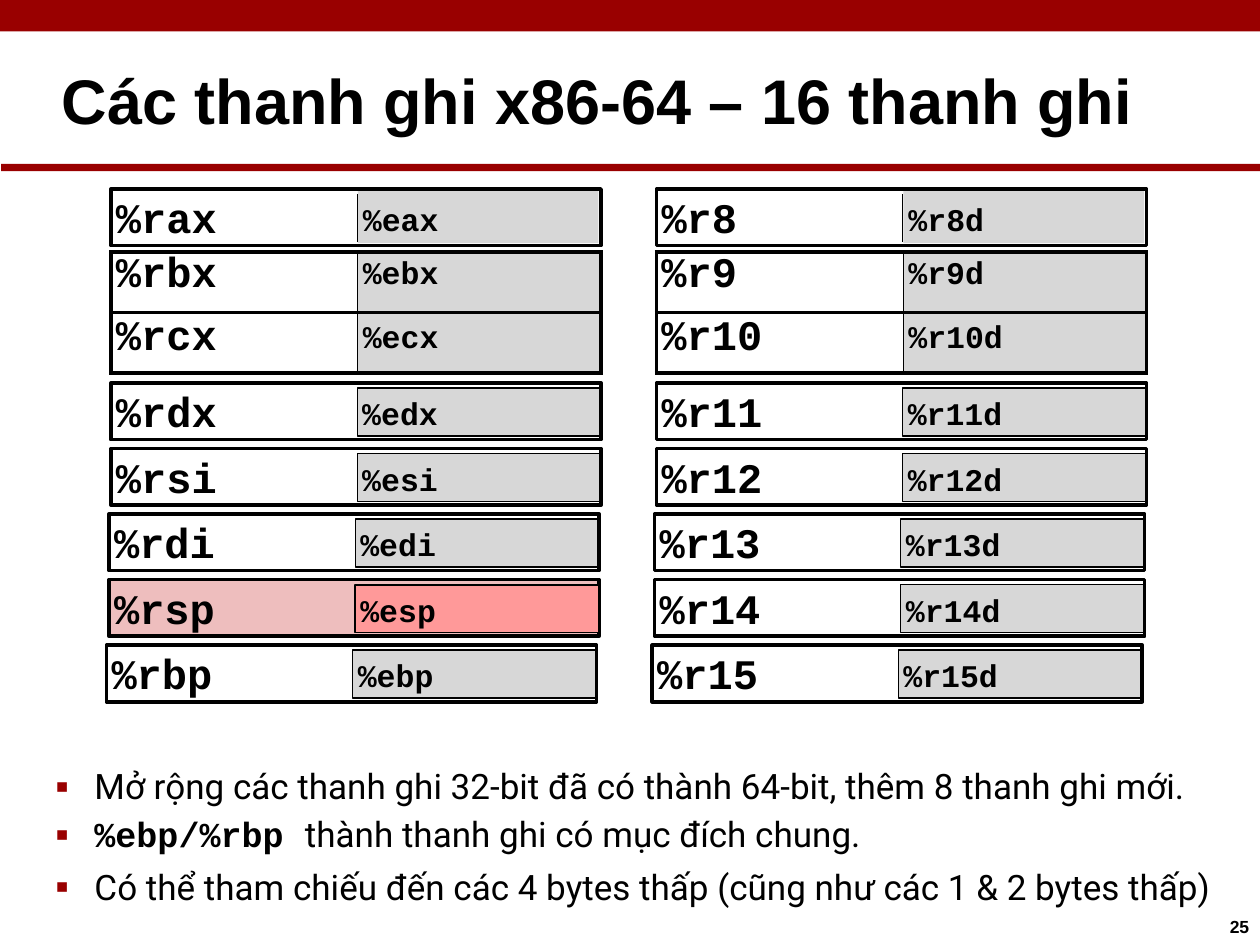
from lxml import etree
from pptx import Presentation
from pptx import util as u
from pptx.dml.color import RGBColor
from pptx.enum import shapes, text
from pptx.oxml import ns

COLS, ROWS = 100, 75          # grid of the 10 x 7.5 inch slide
CELL = u.Inches(0.1)
BLACK, RED, GREY = "000000", "990000", "D7D7D7"
PINK, ROSE = "EEBEBE", "FF9999"
SANS, MONO, BODY = "Arial", "Courier New", "Roboto"


def grid(n):
    """Length of n grid columns or rows."""
    return u.Emu(round(n * CELL))


def color(value):
    return RGBColor.from_string(value)


def add_xml(parent, tag, **attrs):
    return etree.SubElement(parent, ns.qn(tag), attrs)


class Deck:
    def __init__(self):
        self.prs = Presentation()
        self.prs.slide_width, self.prs.slide_height = grid(COLS), grid(ROWS)
        self.slide = self.prs.slides.add_slide(self.prs.slide_layouts[5])

    def frame(self, tf, left=0, top=0):
        """Set top-left text with the given insets."""
        tf.margin_left, tf.margin_top = grid(left), grid(top)
        tf.margin_right = tf.margin_bottom = 0
        tf.vertical_anchor = text.MSO_ANCHOR.TOP
        tf.word_wrap = True

    def font(self, target, name, size, bold=True):
        f = target.font
        f.name, f.size, f.bold = name, u.Pt(size), bold
        f.color.rgb = color(BLACK)

    def set_text(self, tf, words, name, size):
        p = tf.paragraphs[0]
        p.text = words
        p.alignment = text.PP_ALIGN.LEFT
        self.font(p, name, size)

    def title(self, words, x, y, w, h):
        sp = self.slide.shapes.title
        sp.left, sp.top, sp.width, sp.height = map(grid, (x, y, w, h))
        self.frame(sp.text_frame, 5, 2.5)
        sp.text_frame.auto_size = text.MSO_AUTO_SIZE.NONE
        self.set_text(sp.text_frame, words, SANS, 36)

    def box(self, x, y, w, h, fill=None, line=None, words="", size=18, top=0):
        sp = self.slide.shapes.add_shape(shapes.MSO_SHAPE.RECTANGLE, *map(grid, (x, y, w, h)))
        sp.shadow.inherit = False
        if fill:
            sp.fill.solid()
            sp.fill.fore_color.rgb = color(fill)
        else:
            sp.fill.background()
        if line:
            sp.line.color.rgb = color(BLACK)
            sp.line.width = u.Pt(line)
        else:
            sp.line.fill.background()
        if words:
            self.frame(sp.text_frame, 0.4, top)
            self.set_text(sp.text_frame, words, MONO, size)

    def divider(self, x, y, h):
        line = self.slide.shapes.add_connector(
            shapes.MSO_CONNECTOR.STRAIGHT, *map(grid, (x, y, x, y + h)))
        line.line.color.rgb = color(BLACK)
        line.line.width = u.Pt(0.75)
        add_xml(line._element.spPr, "a:effectLst")

    def label(self, words, x, y, w, h, size):
        tf = self.slide.shapes.add_textbox(*map(grid, (x, y, w, h))).text_frame
        self.frame(tf, 0.4)
        self.set_text(tf, words, SANS, size)

    def borders(self, cell, **widths):
        tc_pr = cell._tc.get_or_add_tcPr()
        for i, side in enumerate("LRTB"):
            ln = etree.Element(ns.qn(f"a:ln{side}"), w=str(u.Pt(widths.get(side, 2.25))))
            add_xml(add_xml(ln, "a:solidFill"), "a:srgbClr", val=BLACK)
            tc_pr.insert(i, ln)

    def table(self, x, y, widths, row_height, rows, tops):
        table = self.slide.shapes.add_table(
            len(rows), len(widths),
            *map(grid, (x, y, sum(widths), row_height * len(rows)))).table
        table.first_row = table.horz_banding = False
        for col, width in zip(table.columns, widths):
            col.width = grid(width)
        for r, names in enumerate(rows):
            table.rows[r].height = grid(row_height)
            for c, name in enumerate(names):
                cell = table.cell(r, c)
                cell.margin_left, cell.margin_top = grid(0.4), grid(tops[r][c])
                cell.margin_right = cell.margin_bottom = 0
                if c:
                    cell.fill.solid()
                    cell.fill.fore_color.rgb = color(GREY)
                else:
                    cell.fill.background()
                self.borders(cell, **({"L": 0.75} if c else {"R": 0.75}))
                self.set_text(cell.text_frame, name, MONO, 18 if c else 24)

    def bullets(self, items, x, y, w, h):
        """Add paragraphs given as (space before, [(words, is code)])."""
        tf = self.slide.shapes.add_textbox(*map(grid, (x, y, w, h))).text_frame
        self.frame(tf, 0, 0.6)
        for i, (space, runs) in enumerate(items):
            p = tf.paragraphs[0] if i == 0 else tf.add_paragraph()
            p_pr = p._p.get_or_add_pPr()
            p_pr.set("marL", str(grid(3.3)))
            p_pr.set("indent", str(-grid(3.1)))
            add_xml(add_xml(p_pr, "a:buClr"), "a:srgbClr", val=RED)
            add_xml(p_pr, "a:buSzPct", val="110000")
            add_xml(p_pr, "a:buFont", typeface=SANS)
            add_xml(p_pr, "a:buChar", char="▪")
            p.space_before = u.Pt(space)
            self.font(p, BODY, 20, False)
            for words, is_code in runs:
                r = p.add_run()
                r.text = words
                if is_code:
                    self.font(r, MONO, 20)

    def register(self, x, y, name, low, highlight=False):
        """Draw a 64-bit register with its low 32 bits inside."""
        outer = dict(x=x, y=y, w=38.9, h=4.5, line=2, words=name, size=24, top=0.2)
        if highlight:
            self.box(fill=PINK, **outer)
        self.box(x + 19.55, y + 0.4, 19.3, 3.8, ROSE if highlight else GREY,
                 1 if highlight else 0.75, low, top=0.5)
        if not highlight:
            self.box(**outer)

    def first_register(self, x, y, name, low):
        self.box(x + 19.6, y + 0.1, 19.1, 4.2, GREY, words=low, top=0.8)
        self.divider(x + 19.55, y + 0.4, 3.8)
        self.box(x, y, 38.9, 4.5, line=2, words=name, size=24, top=0.2)


def main():
    deck = Deck()
    deck.box(0, 0, COLS, 2.5, RED)
    deck.title("Các thanh ghi x86-64 – 16 thanh ghi", -0.1, 2.4, 100.3, 11)
    deck.box(0.1, 13, 99.9, 0.6, RED)

    old = [(f"%r{n}", f"%e{n}") for n in "ax bx cx dx si di sp bp".split()]
    new = [(f"%r{n}", f"%r{n}d") for n in range(8, 16)]
    shifts = (0, 0, -0.15, -0.15, -0.35)
    for x, names in ((8.8, old), (52.1, new)):
        deck.first_register(x, 15, *names[0])
        deck.table(x, 20, (19.6, 19.3), 4.8, names[1:3], ((0, 0.5), (0.2, 0.8)))
        for i, (pair, shift) in enumerate(zip(names[3:], shifts)):
            deck.register(x + shift, 30.4 + 5.2 * i, *pair, highlight=pair[0] == "%rsp")

    deck.bullets([
        (0, [("Mở rộng các thanh ghi 32-bit đã có thành 64-bit, thêm 8 thanh ghi mới.", False)]),
        (3.5, [("%ebp/%rbp ", True), ("thành thanh ghi có mục đích chung.", False)]),
        (6.1, [("Có thể tham chiếu đến các 4 bytes thấp (cũng như các 1 & 2 bytes thấp)", False)]),
    ], 4.2, 60.1, 92.6, 11.9)
    deck.label("25", 97.2, 72.7, 2.2, 2, 10)
    deck.prs.save("out.pptx")


if __name__ == "__main__":
    main()
